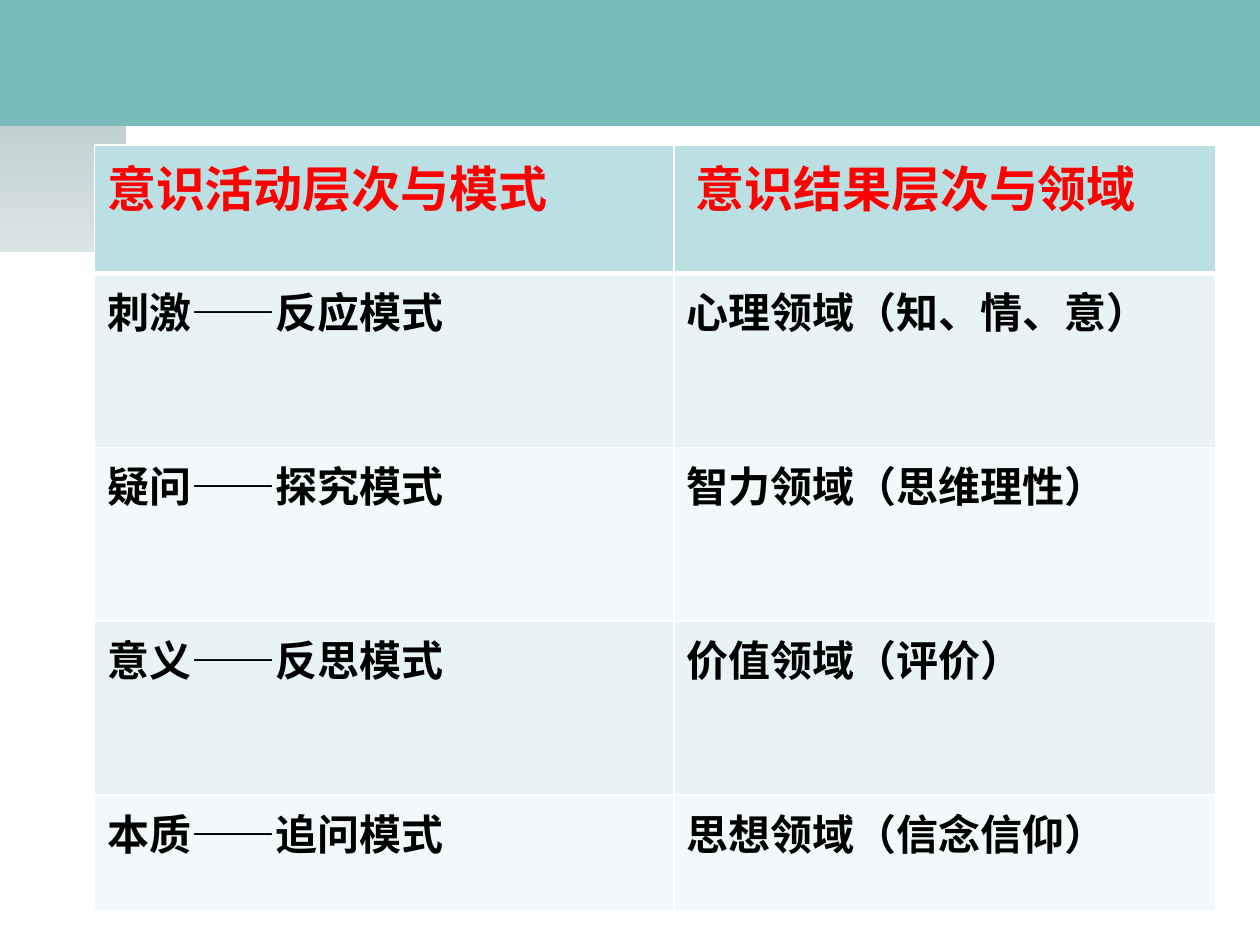
from lxml import etree
from pptx import Presentation
from pptx.dml.color import RGBColor
from pptx.oxml.ns import qn
from pptx.util import Inches, Pt

FONT = "Noto Sans CJK SC"
ROWS = [
    ("意识活动层次与模式", "意识结果层次与领域"),
    ("刺激——反应模式", "心理领域（知、情、意）"),
    ("疑问——探究模式", "智力领域（思维理性）"),
    ("意义——反思模式", "价值领域（评价）"),
    ("本质——追问模式", "思想领域（信念信仰）"),
]
COLUMN_WIDTHS = [4.6, 4.3]
ROW_HEIGHTS = [1.02, 1.38, 1.38, 1.38, 0.92]
HEADER_FILL = "BBE0E3"
BAND_FILLS = ["F3F9FA", "E7F3F4"]

BANNER_CURVE = [(0, 2.02), (0.42, 1.54), (0.82, 0.93), (2.53, 1.02)]
BANNER_EDGE = [(10, 1.01), (10, 0), (0, 0)]
SWEEP_CURVE = [(0, 2.61), (0.06, 2.65), (0.58, 1.11), (2.78, 1.18)]
SWEEP_EDGE = [(10, 1.18), (10, 0.99), (1.31, 0.99), (0, 1.19)]


def color(value):
    return RGBColor.from_string(value)


def curve_points(controls, steps=40):
    points = []
    for step in range(steps + 1):
        t = step / steps
        weights = ((1 - t) ** 3, 3 * t * (1 - t) ** 2, 3 * t**2 * (1 - t), t**3)
        points.append(tuple(sum(w * c[axis] for w, c in zip(weights, controls)) for axis in (0, 1)))
    return points


def add_outline(slide, curve, edge):
    start, *rest = curve_points(curve) + edge
    builder = slide.shapes.build_freeform(*start, scale=Inches(1))
    builder.add_line_segments(rest, close=True)
    shape = builder.convert_to_shape()
    shape.shadow.inherit = False
    shape.line.fill.background()
    return shape


def add_border(cell, side, points):
    properties = cell._tc.get_or_add_tcPr()
    line = etree.SubElement(properties, qn(f"a:ln{side}"), w=str(Pt(points)))
    fill = etree.SubElement(line, qn("a:solidFill"))
    etree.SubElement(fill, qn("a:srgbClr"), val="FFFFFF")


def format_cell(cell, text, row, column):
    header = row == 0
    for side in "LRTB":
        thick = (row, side) in ((0, "B"), (1, "T"))
        add_border(cell, side, 3 if thick else 1)
    cell.fill.solid()
    cell.fill.fore_color.rgb = color(HEADER_FILL if header else BAND_FILLS[row % 2])
    if header and column == 1:
        cell.margin_left = Inches(0.17)
    cell.text_frame.text = text
    run = cell.text_frame.paragraphs[0].runs[0]
    run.font.name = FONT
    run.font.size = Pt(28 if header else 24)
    run.font.bold = True
    run.font.color.rgb = color("FF0000" if header else "000000")
    etree.SubElement(run._r.get_or_add_rPr(), qn("a:ea"), typeface=FONT)


def main():
    presentation = Presentation()
    presentation.slide_width = Inches(10)
    presentation.slide_height = Inches(7.5)
    slide = presentation.slides.add_slide(presentation.slide_layouts[6])

    banner = add_outline(slide, BANNER_CURVE, BANNER_EDGE)
    banner.fill.solid()
    banner.fill.fore_color.rgb = color("008080")
    tint = banner._element.spPr.find(qn("a:solidFill")).find(qn("a:srgbClr"))
    etree.SubElement(tint, qn("a:alpha"), val="53000")

    sweep = add_outline(slide, SWEEP_CURVE, SWEEP_EDGE)
    sweep.fill.gradient()
    sweep.fill.gradient_angle = 270
    for stop, value in zip(sweep.fill.gradient_stops, ("C1D1D3", "F7F9F9")):
        stop.color.rgb = color(value)

    table = slide.shapes.add_table(
        len(ROWS), len(COLUMN_WIDTHS), Inches(0.75), Inches(1.15),
        Inches(sum(COLUMN_WIDTHS)), Inches(sum(ROW_HEIGHTS)),
    ).table
    for table_column, width in zip(table.columns, COLUMN_WIDTHS):
        table_column.width = Inches(width)
    for table_row, height in zip(table.rows, ROW_HEIGHTS):
        table_row.height = Inches(height)
    for row, texts in enumerate(ROWS):
        for column, text in enumerate(texts):
            format_cell(table.cell(row, column), text, row, column)

    presentation.save("out.pptx")


if __name__ == "__main__":
    main()
